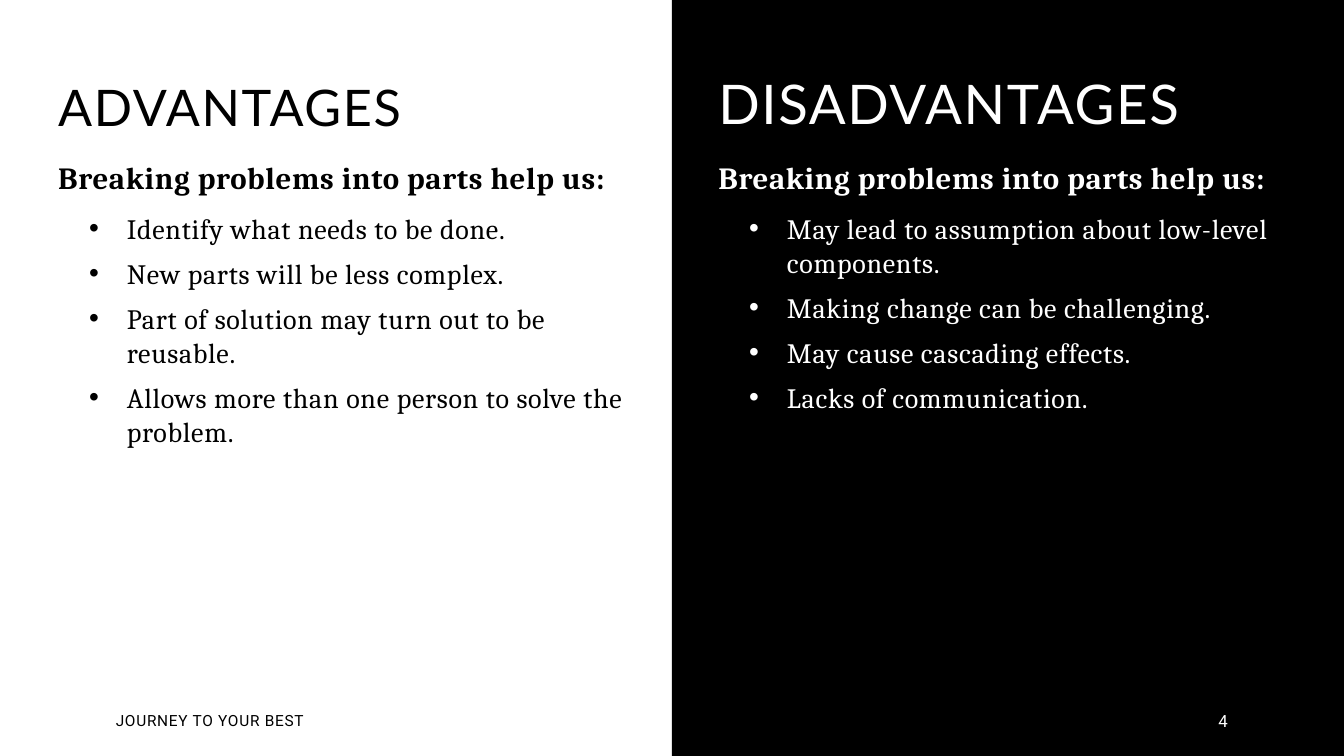
"""Build a two-panel slide that sets advantages against disadvantages."""
import lxml.etree
import pptx
import pptx.dml.color
import pptx.enum.text
import pptx.oxml.ns
import pptx.util

Pt = pptx.util.Pt
Anchor = pptx.enum.text.MSO_ANCHOR
Align = pptx.enum.text.PP_ALIGN
COLORS = {"black": "000000", "white": "FFFFFF"}
HALF, HEIGHT = 480, 540
COLUMN_WIDTH = 419


def rgb(name):
    return pptx.dml.color.RGBColor.from_string(COLORS[name])


def write(frame, text, *, size, font, color, bold=False, tracking=0, line=1.0,
          gap=0, align=Align.LEFT, bullet=False):
    para = frame.paragraphs[0]
    if para.runs:
        para = frame.add_paragraph()
    para.alignment = align
    para.line_spacing = line
    para.space_before = para.space_after = Pt(gap)
    if bullet:
        para.level = 1
        properties = para._p.get_or_add_pPr()
        properties.set("marL", str(Pt(49)))
        properties.set("indent", str(-Pt(27)))
        for tag, key, value in (("a:buFont", "typeface", "Arial"), ("a:buChar", "char", "•")):
            lxml.etree.SubElement(properties, pptx.oxml.ns.qn(tag)).set(key, value)
    span = para.add_run()
    span.text = text
    span.font.size = Pt(size)
    span.font.name = font
    span.font.bold = bold
    span.font.color.rgb = rgb(color)
    span._r.get_or_add_rPr().set("spc", str(round(tracking * 100)))


deck = pptx.Presentation()
deck.slide_width, deck.slide_height = Pt(2 * HALF), Pt(HEIGHT)
page = deck.slides.add_slide(deck.slide_layouts[6])

panels = [
    {"panel_left": 0, "text_left": 34.5, "fill": "white", "ink": "black",
     "title": "ADVANTAGES", "title_size": 36, "title_line": 1.01,
     "points": ["Identify what needs to be done.",
                "New parts will be less complex.",
                "Part of solution may turn out to be reusable.",
                "Allows more than one person to solve the problem."]},
    {"panel_left": HALF, "text_left": 506, "fill": "black", "ink": "white",
     "title": "DISADVANTAGES", "title_size": 39, "title_line": 0.91,
     "points": ["May lead to assumption about low-level components.",
                "Making change can be challenging.",
                "May cause cascading effects.",
                "Lacks of communication."]},
]

for panel in panels:
    background = page.shapes.add_shape(pptx.enum.shapes.MSO_SHAPE.RECTANGLE,
                                       Pt(panel["panel_left"]), 0, Pt(HALF), Pt(HEIGHT))
    background.shadow.inherit = False
    background.fill.solid()
    background.fill.fore_color.rgb = rgb(panel["fill"])
    background.line.fill.background()

    left, ink = Pt(panel["text_left"]), panel["ink"]
    title = page.shapes.add_textbox(left, Pt(49.7), Pt(COLUMN_WIDTH), Pt(51.1)).text_frame
    title.word_wrap = True
    title.vertical_anchor = Anchor.BOTTOM
    write(title, panel["title"], size=panel["title_size"], font="Lato", color=ink,
          tracking=1.2, line=panel["title_line"], gap=7)

    body = page.shapes.add_textbox(left, Pt(109.4), Pt(COLUMN_WIDTH), Pt(380)).text_frame
    body.word_wrap = True
    write(body, "Breaking problems into parts help us:", size=22, font="Cambria", color=ink,
          bold=True, tracking=0.5, line=1.01, gap=7)
    for point in panel["points"]:
        write(body, point, size=20, font="Cambria", color=ink, tracking=0.5, line=1.01,
              gap=4, bullet=True)

footers = [
    (75.6, 392.4, "JOURNEY TO YOUR BEST", {"size": 11, "color": "black", "tracking": 0.5}),
    (810.7, 73.4, "4", {"size": 12, "color": "white", "align": Align.RIGHT}),
]
for left, width, text, style in footers:
    footer = page.shapes.add_textbox(Pt(left), Pt(500.4), Pt(width), Pt(28.8)).text_frame
    footer.word_wrap = True
    footer.vertical_anchor = Anchor.MIDDLE
    write(footer, text, font="Roboto", **style)

deck.save("out.pptx")
